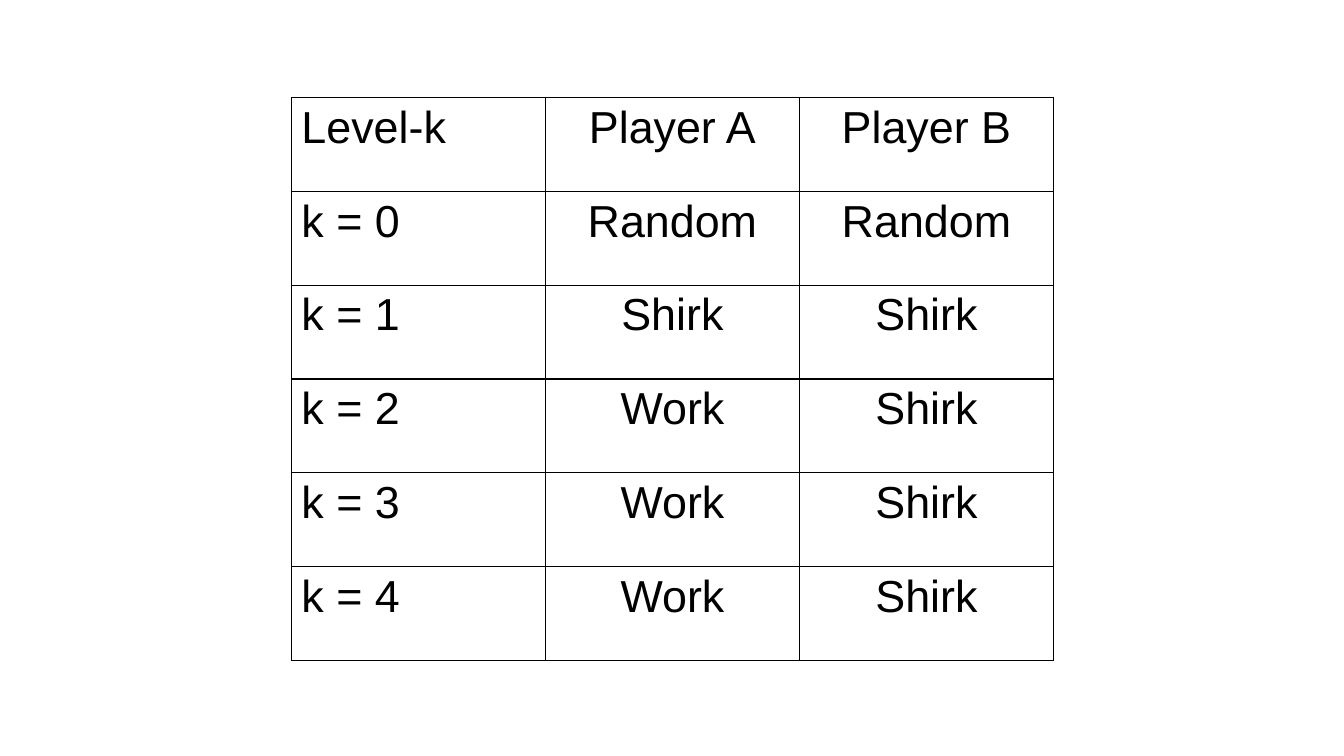
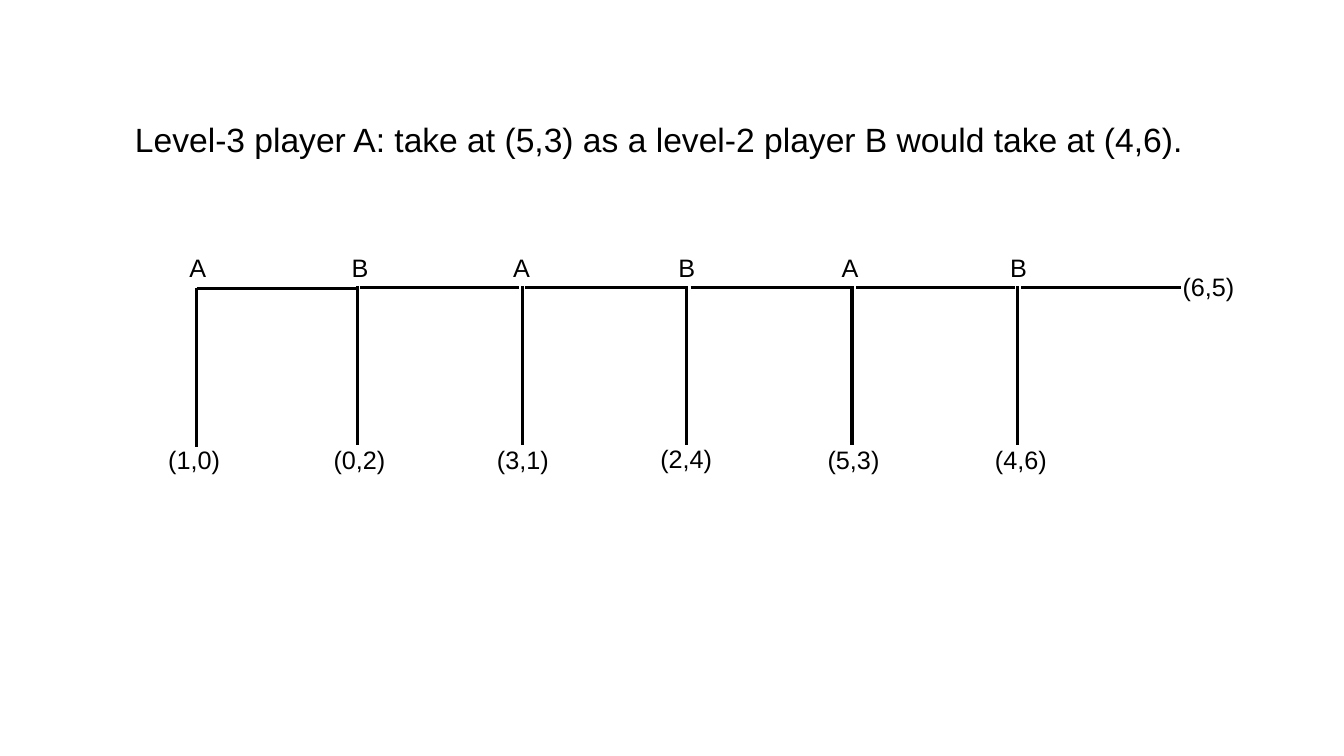
"""Build two slides on level-k reasoning: a table of choices and a centipede game tree."""

from lxml.etree import SubElement
from pptx import Presentation
from pptx.dml.color import RGBColor
from pptx.enum.shapes import MSO_CONNECTOR
from pptx.enum.text import MSO_AUTO_SIZE, PP_ALIGN
from pptx.oxml.ns import qn
from pptx.util import Pt

PX = 9144
FONT = "Arial"
BLACK = RGBColor(0x00, 0x00, 0x00)


def add_text(frame, text, size):
    para = frame.paragraphs[0]
    span = para.add_run()
    span.text = text
    span.font.name = FONT
    span.font.size = Pt(size)
    span.font.color.rgb = BLACK
    return para


def add_line(page, left, top, right, bottom):
    line = page.shapes.add_connector(
        MSO_CONNECTOR.STRAIGHT, left * PX, top * PX, right * PX, bottom * PX
    )
    line.line.color.rgb = BLACK
    line.line.width = Pt(2.25)
    SubElement(line._element.spPr, qn("a:effectLst"))


deck = Presentation()
deck.slide_width = 1333 * PX
deck.slide_height = 750 * PX
blank = deck.slide_layouts[6]

CHOICES = [
    ("Level-k", "Player A", "Player B"),
    ("k = 0", "Random", "Random"),
    ("k = 1", "Shirk", "Shirk"),
    ("k = 2", "Work", "Shirk"),
    ("k = 3", "Work", "Shirk"),
    ("k = 4", "Work", "Shirk"),
]
page = deck.slides.add_slide(blank)
table = page.shapes.add_table(
    len(CHOICES), 3, 289 * PX, 97 * PX, 756 * PX, 558 * PX
).table
table.first_row = False
table.horz_banding = False
for row_index, choice in enumerate(CHOICES):
    for column_index, text in enumerate(choice):
        cell = table.cell(row_index, column_index)
        para = add_text(cell.text_frame, text, 32)
        if column_index:
            para.alignment = PP_ALIGN.CENTER
        properties = cell._tc.get_or_add_tcPr()
        for edge in ("a:lnL", "a:lnR", "a:lnT", "a:lnB"):
            border = SubElement(properties, qn(edge), w=str(Pt(1)))
            fill = SubElement(border, qn("a:solidFill"))
            SubElement(fill, qn("a:srgbClr"), val=str(BLACK))
        cell.fill.background()

page = deck.slides.add_slide(blank)
title = page.shapes.add_textbox(124 * PX, 113 * PX, 1085 * PX, 270 * PX)
title.text_frame.word_wrap = True
add_text(title.text_frame, "Level-3 player A: take at (5,3) as a level-2 player B would take at (4,6).", 24)

STEM_LENGTH = 157
BRANCH_LENGTH = 158
PLAYER_TOP = 245
NODES = [
    ("A", 178, "(1,0)", 157, 436, 195, 286, 195, 286),
    ("B", 339, "(0,2)", 321, 436, 355, 284, 357, 285),
    ("A", 499, "(3,1)", 483, 436, 518, 284, 521, 285),
    ("B", 663, "(2,4)", 645, 435, 681, 284, 685, 285),
    ("A", 825, "(5,3)", 811, 436, 845, 284, 849, 285),
    ("B", 992, "(4,6)", 977, 436, 1009, 284, 1013, 285),
]
labels = [("(6,5)", 1163, 264, 72)]
for player, player_left, payoff, payoff_left, payoff_top, stem_x, stem_y, branch_x, branch_y in NODES:
    add_line(page, stem_x, stem_y, stem_x, stem_y + STEM_LENGTH)
    add_line(page, branch_x, branch_y, branch_x + BRANCH_LENGTH, branch_y)
    labels.append((player, player_left, PLAYER_TOP, 37))
    labels.append((payoff, payoff_left, payoff_top, 72))

for text, left, top, width in labels:
    box = page.shapes.add_textbox(left * PX, top * PX, width * PX, 40 * PX)
    box.text_frame.word_wrap = False
    box.text_frame.auto_size = MSO_AUTO_SIZE.SHAPE_TO_FIT_TEXT
    add_text(box.text_frame, text, 18)

deck.save("out.pptx")
